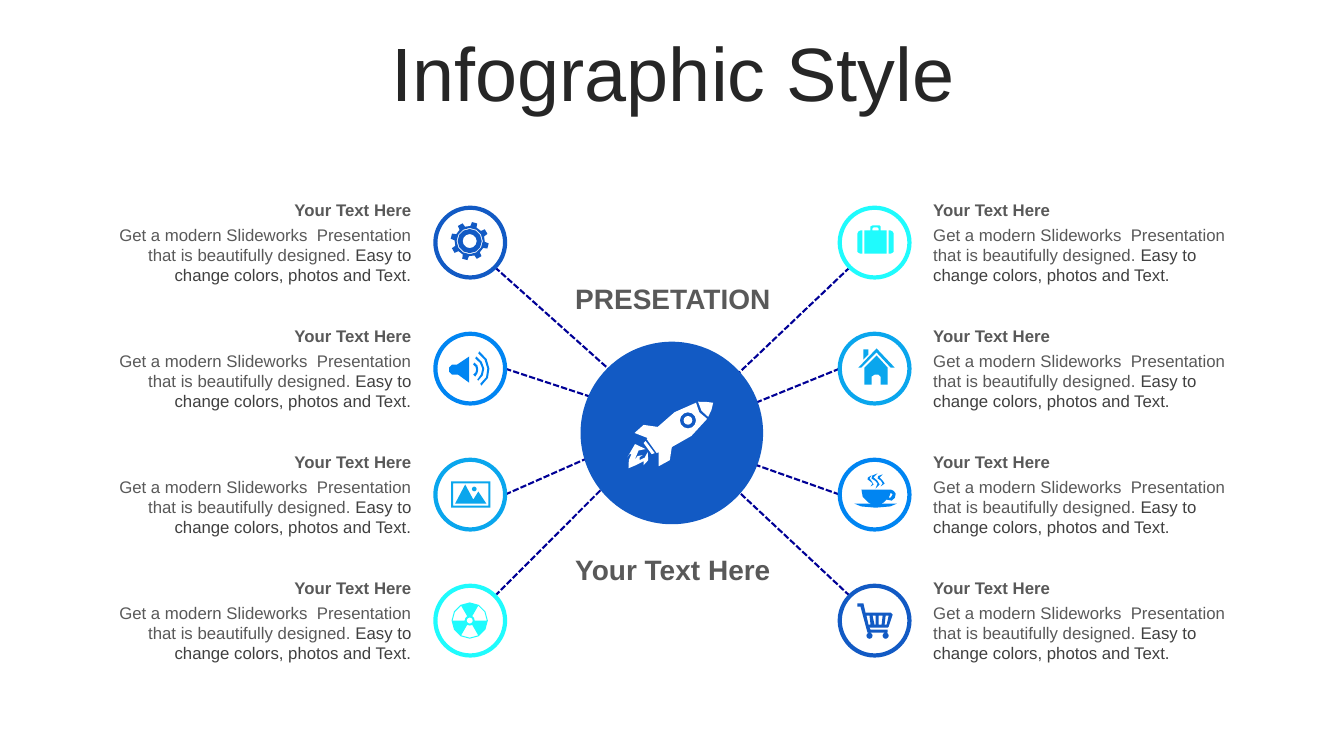
from dataclasses import dataclass
from math import cos, radians, sin

from pptx import Presentation
from pptx.dml.color import RGBColor
from pptx.enum.dml import MSO_LINE_DASH_STYLE as Dash
from pptx.enum.shapes import MSO_CONNECTOR_TYPE as Connector, MSO_SHAPE as Shape
from pptx.enum.text import MSO_ANCHOR as Anchor, MSO_AUTO_SIZE as AutoSize, PP_ALIGN as Align
from pptx.oxml import parse_xml
from pptx.oxml.ns import nsdecls
from pptx.util import Pt

Point = tuple[float, float]
Contour = list[Point]

FONT = "Arial"
GREY, DARK, NAVY, WHITE = "595959", "404040", "000096", "FFFFFF"
BLUE, AZURE, SKY, CYAN = "125AC4", "0085F2", "0AA6ED", "1FFBFD"
HUB_X, HUB_Y, HUB_RADIUS = 479.9, 309.3, 65.2
LEFT_X, RIGHT_X, FIRST_Y, ROW_STEP = 335.9, 624.7, 173.3, 90
RING_RADIUS = 24.9
ICON_UNIT = 0.72


@dataclass
class Topic:
    row: int
    on_right: bool
    color: str
    icon: list[Contour]
    target: Point

    @property
    def center(self) -> Point:
        return (RIGHT_X if self.on_right else LEFT_X), FIRST_Y + self.row * ROW_STEP


def polar(center: Point, radius: float, degrees: float) -> Point:
    angle = radians(degrees)
    return center[0] + radius * cos(angle), center[1] + radius * sin(angle)


def arc(center: Point, radius: float, start: int, end: int) -> Contour:
    return [polar(center, radius, degrees) for degrees in range(start, end + 1, 30)]


def circle(center: Point, radius: float) -> Contour:
    return arc(center, radius, 0, 330)


def curve(start: Point, first: Point, second: Point, end: Point) -> Contour:
    middle = tuple((a + 3 * b + 3 * c + d) / 8 for a, b, c, d in zip(start, first, second, end))
    return [middle, end]


def outline(text: str) -> list[Contour]:
    contours: list[Contour] = []
    for part in text.split("M")[1:]:
        contour: Contour = []
        command, controls = "L", []
        for token in part.split():
            if token in ("L", "C"):
                command = token
                continue
            x, y = token.split(",")
            controls.append((float(x), float(y)))
            if command == "L":
                contour.append(controls.pop())
            elif len(controls) == 3:
                contour += curve(contour[-1], *controls)
                controls = []
        contours.append(contour)
    return contours


def gear() -> list[Contour]:
    center = (-0.5, -1.5)
    teeth = [polar(center, radius, -75 + 45 * tooth + offset) for tooth in range(8)
             for radius, offset in ((15, -12), (19, -8), (19, 8), (15, 12))]
    return [teeth] + [circle(center, radius) for radius in (13, 12, 7)]


def trefoil() -> list[Contour]:
    center = (-0.5, 0)
    gaps = [arc(center, 17, start, start + 60) + arc(center, 5, start, start + 60)[::-1]
            for start in (60, 180, 300)]
    return [circle(center, 18), circle(center, 3)] + gaps


SPEAKER = outline(
    "M -1,-12 -1,14 -12,6 -18,6 -21,3 -21,-1 -18,-4 -13,-4 "
    "M 4,-6 C 7,-5 8,-2 8,1 8,3 7,6 5,8 L 3,6 C 5,5 6,3 6,1 6,-1 5,-3 3,-4 "
    "M 6,-12 C 11,-9 13,-5 14,0 14,5 12,9 8,12 L 7,11 C 10,8 12,4 12,0 11,-4 9,-8 5,-10 "
    "M 9,-17 C 15,-13 19,-7 19,0 20,6 17,13 11,17 L 10,15 C 15,12 18,6 17,0 17,-6 13,-12 8,-15")
PHOTO = outline(
    "M -5,-10 3,5 8,-3 16,9 -15,9 M -17,-11 -17,11 18,11 18,-11 "
    "M -19,-13 20,-13 20,13 -19,13") + [circle((4, -5.5), 2.3)]
SUITCASE = outline(
    "M 14,-12 16,-12 18,-11 19,-9 19,9 18,10 16,11 14,11 "
    "M -12,-12 -12,11 -14,11 -16,10 -17,9 -17,-9 -16,-11 -14,-12 "
    "M -1,-15 -2,-14 -2,-12 4,-12 4,-14 3,-15 "
    "M -2,-17 5,-17 6,-16 6,-12 12,-12 12,11 -10,11 -10,-12 -4,-12 -4,-16")
HOUSE = outline(
    "M 2,-13 13,-1 13,16 6,16 6,8 4,6 0,6 -3,8 -3,16 -10,16 -10,-1 "
    "M -11,-19 -6,-19 -6,-14 -11,-9 M 2,-20 20,-1 16,-1 2,-16 -13,-1 -16,-1")
CUP = outline(
    "M 16,-2 15,1 14,3 16,3 18,0 "
    "M 16,-5 C 18,-5 20,-3 21,-1 21,2 20,5 17,6 L 12,5 9,8 6,9 "
    "22,9 C 22,11 12,13 1,13 -10,13 -19,11 -20,9 L -3,9 -6,8 C -11,5 -14,0 -13,-5 "
    "M -3,-19 L -5,-16 C -5,-13 0,-13 -1,-10 L -4,-8 -2,-11 C -2,-13 -6,-13 -7,-15 -8,-16 -6,-18 -3,-19 "
    "M 8,-20 L 5,-17 C 5,-14 11,-14 10,-11 L 6,-8 8,-11 C 8,-14 5,-14 3,-16 2,-18 4,-19 8,-20 "
    "M 3,-21 L -1,-17 C 0,-14 6,-14 5,-10 L 1,-6 3,-11 C 3,-13 -1,-14 -3,-16 -4,-18 -2,-20 3,-21")
CART = outline(
    "M 11,-5 10,4 12,4 14,-5 M 4,-5 4,4 7,4 8,-5 M -2,-5 0,4 1,4 1,-5 M -8,-5 -6,4 -4,4 -5,-5 "
    "M -11,-17 -9,-8 16,-8 18,-6 14,6 13,7 -5,7 -4,9 13,9 13,12 -7,12 "
    "-14,-14 -17,-14 -17,-17") + [circle((x, 15), 3) for x in (-5, 11)]
ROCKET = outline(
    "M -26,16 C -30,14 -37,18 -37,27 L -34,23 -29,22 -32,24 -32,27 "
    "C -29,23 -24,27 -24,19 -20,27 -25,28 -28,32 L -28,28 C -33,35 -38,29 -43,35 "
    "-47,28 -39,25 -40,21 L -42,21 -44,24 C -43,6 -31,10 -26,16 "
    "M -26,8 -17,20 -20,21 -28,10 "
    "M 24,-30 C 24,-23 29,-17 35,-14 27,0 13,8 0,14 L -2,27 -13,33 -13,19 -15,20 -25,6 -24,5 "
    "-37,0 -28,-8 -14,-6 C -4,-16 8,-27 24,-30 "
    "M 41,-30 C 40,-25 39,-20 36,-16 31,-19 27,-24 26,-31 31,-31 36,-31 41,-30"
) + [circle((16, -12.5), radius) for radius in (8, 4.3)]

TOPICS = [
    Topic(0, True, CYAN, SUITCASE, (484.6, 307.4)),
    Topic(1, True, SKY, HOUSE, (482.4, 311)),
    Topic(2, True, AZURE, CUP, (484.6, 312.5)),
    Topic(3, True, BLUE, CART, (483.1, 309.6)),
    Topic(0, False, BLUE, gear(), (477.4, 301.7)),
    Topic(1, False, AZURE, SPEAKER, (477.4, 301.7)),
    Topic(2, False, SKY, PHOTO, (477.4, 301.7)),
    Topic(3, False, CYAN, trefoil(), (477.4, 301.7)),
]


def rgb(color: str) -> RGBColor:
    return RGBColor.from_string(color)


def add_span(para, text: str, *, size: float = 12, color: str = GREY, bold: bool = False) -> None:
    span = para.add_run()
    span.text = text
    span.font.name, span.font.size, span.font.bold = FONT, Pt(size), bold
    span.font.color.rgb = rgb(color)


def add_text(page, left: float, top: float, width: float, height: float,
             *spans: tuple[str, str], align=Align.LEFT, size: float = 12, bold: bool = False) -> None:
    box = page.shapes.add_textbox(Pt(left), Pt(top), Pt(width), Pt(height))
    box.text_frame.word_wrap = True
    box.text_frame.auto_size = AutoSize.SHAPE_TO_FIT_TEXT
    para = box.text_frame.paragraphs[0]
    para.alignment = align
    for text, color in spans:
        add_span(para, text, size=size, color=color, bold=bold)


def add_circle(page, center: Point, radius: float, *, fill: str = "", line: str = "") -> None:
    disc = page.shapes.add_shape(Shape.OVAL, Pt(center[0] - radius), Pt(center[1] - radius),
                                 Pt(2 * radius), Pt(2 * radius))
    disc.shadow.inherit = False
    for part, color in ((disc.fill, fill), (disc.line.fill, line)):
        if color:
            part.solid()
            part.fore_color.rgb = rgb(color)
        else:
            part.background()
    if line:
        disc.line.width = Pt(3)


def add_icon(page, center: Point, contours: list[Contour], color: str) -> None:
    placed = [[(Pt(center[0] + x * ICON_UNIT), Pt(center[1] + y * ICON_UNIT)) for x, y in contour]
              for contour in contours]
    builder = page.shapes.build_freeform(*placed[0][0], scale=1.0)
    for index, contour in enumerate(placed):
        if index:
            builder.move_to(*contour[0])
        builder.add_line_segments(contour[1:], close=True)
    icon = builder.convert_to_shape()
    icon.shadow.inherit = False
    icon.fill.solid()
    icon.fill.fore_color.rgb = rgb(color)
    icon.line.fill.background()


def add_spoke(page, topic: Topic) -> None:
    tilt = {0: 45, 3: -45}.get(topic.row, 0)
    start = polar(topic.center, RING_RADIUS, 180 - tilt if topic.on_right else tilt)
    spoke = page.shapes.add_connector(Connector.STRAIGHT, *map(Pt, (*start, *topic.target)))
    spoke.line.color.rgb = rgb(NAVY)
    spoke.line.width = Pt(1.5)
    spoke.line.dash_style = Dash.SQUARE_DOT
    spoke._element.spPr.append(parse_xml(f"<a:effectLst {nsdecls('a')}/>"))


def add_title(page, text: str) -> None:
    title = page.shapes.title
    title.left, title.top, title.width, title.height = map(Pt, (25.2, 26.6, 911.5, 56.9))
    title.text_frame.vertical_anchor = Anchor.MIDDLE
    title.text_frame.auto_size = AutoSize.NONE
    para = title.text_frame.paragraphs[0]
    para.alignment, para.line_spacing = Align.CENTER, 0.9
    add_span(para, text, size=54, color="262626")


def main() -> None:
    deck = Presentation()
    deck.slide_width, deck.slide_height = Pt(960), Pt(540)
    page = deck.slides.add_slide(deck.slide_layouts[5])
    add_title(page, "Infographic Style")
    for topic in TOPICS:
        add_spoke(page, topic)
    add_circle(page, (HUB_X, HUB_Y), HUB_RADIUS, fill=BLUE)
    add_icon(page, (HUB_X, HUB_Y), ROCKET, WHITE)
    for topic in TOPICS:
        add_circle(page, topic.center, RING_RADIUS, line=topic.color)
        add_icon(page, topic.center, topic.icon, topic.color)
        left, width, align = (659.5, 229, Align.LEFT) if topic.on_right else (63.4, 237.6, Align.RIGHT)
        top = 139 + topic.row * ROW_STEP
        add_text(page, left, top, width, 21.8, ("Your Text Here", GREY), align=align, bold=True)
        add_text(page, left, top + 18, width, 50.9,
                 ("Get a modern Slideworks  Presentation that is beautifully designed. ", GREY),
                 ("Easy to change colors, photos and Text.", DARK), align=align)
    for top, text in ((197.3, "PRESETATION"), (391, "Your Text Here")):
        add_text(page, 403.2, top, 154.8, 31.5, (text, GREY), align=Align.CENTER, size=20, bold=True)
    deck.save("out.pptx")


if __name__ == "__main__":
    main()
